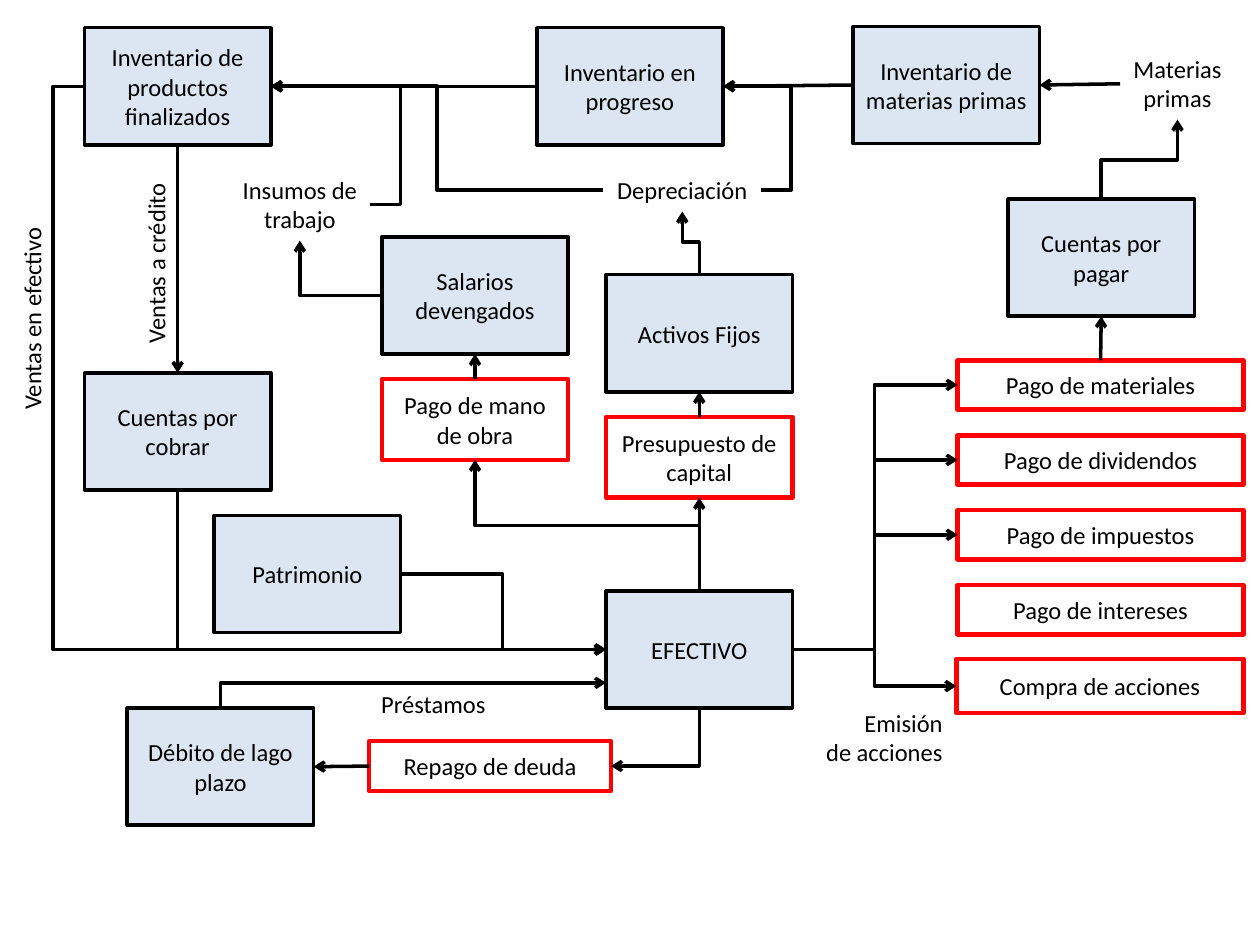
from lxml.etree import SubElement
from pptx import Presentation
from pptx.dml.color import RGBColor
from pptx.enum.shapes import MSO_CONNECTOR, MSO_SHAPE
from pptx.enum.text import MSO_ANCHOR, MSO_AUTO_SIZE, PP_ALIGN
from pptx.oxml.ns import qn
from pptx.util import Inches, Pt

WIDE, HIGH = 10, 7.5
INK, BLUE, RED = "000000", "DCE6F2", "FF0000"
COL = {"sales": 0.67, "wage": 3.03, "cash": 4.81, "pay": 7.6}
STEP, TOP = 0.595, 2.86
STOCK, SPEND, PAY = (1.48, 0.93), (1.48, 0.64), (2.27, 0.39)

STOCKS = {
    "done": ("Inventario de productos finalizados", COL["sales"], 0.22),
    "owed": ("Cuentas por cobrar", COL["sales"], 2.96),
    "work": ("Inventario en progreso", 4.26, 0.22),
    "raw": ("Inventario de materias primas", 6.77, 0.21),
    "due": ("Cuentas por pagar", 8, 1.58),
    "wage": ("Salarios devengados", COL["wage"], 1.88),
    "fixed": ("Activos Fijos", COL["cash"], 2.18),
    "own": ("Patrimonio", 1.7, 4.09),
    "cash": ("EFECTIVO", COL["cash"], 4.69),
    "debt": ("Débito de lago plazo", 1.01, 5.62),
}
SPENDS = {
    "labor": ("Pago de mano de obra", COL["wage"], 3.01, SPEND),
    "plan": ("Presupuesto de capital", COL["cash"], 3.31, SPEND),
    "buy": ("Compra de acciones", 7.59, 5.23, (2.28, 0.43)),
    "repay": ("Repago de deuda", 2.93, 5.88, (1.92, 0.4)),
}
PAYS = {
    "goods": "Pago de materiales",
    "share": "Pago de dividendos",
    "tax": "Pago de impuestos",
    "rate": "Pago de intereses",
}
LABELS = {
    "loan": ("Préstamos", 2.92, 5.42, 1.04, 0.34, {}),
    "issue": ("Emisión\nde acciones", 6.4, 5.57, 1.18, 0.57,
              {"align": PP_ALIGN.RIGHT, "wrap": True}),
    "parts": ("Materias\nprimas", 8.89, 0.38, 0.91, 0.57, {}),
    "wear": ("Depreciación", 4.79, 1.34, 1.25, 0.34, {}),
    "input": ("Insumos de\ntrabajo", 1.82, 1.34, 1.12, 0.57, {}),
    "paid": ("Ventas en efectivo", -0.73, 2.36, 1.97, 0.34,
             {"wrap": True, "turn": 270}),
    "trust": ("Ventas a crédito", 0.29, 1.92, 1.9, 0.34,
              {"wrap": True, "turn": 270}),
}
STRAIGHT = [
    ("raw.l", "work.r"), ("work.l", "done.r"), ("parts.l", "raw.r"),
    ("repay.l", "debt.r"), ("plan.t", "fixed.b"), ("labor.t", "wage.b"),
    ("cash.t", "plan.b"), ("done.b", "owed.t"), ("goods.t", "due.b"),
]
ELBOW = [
    ("debt.t", (COL["cash"], 5.42)), ("cash.b", "repay.r"),
    ("wage.l", "input.b"), ("owed.b", "cash.l"),
]
DOUBLE = [
    ("cash.r", "goods.l", 6.94), ("cash.r", "share.l", 6.94),
    ("cash.r", "tax.l", 6.94), ("cash.r", "buy.l", 6.94),
    ("own.r", "cash.l", 3.99), ("done.l", "cash.l", 0.42),
    ("wear.r", "work.r", 6.28), ("wear.l", "done.r", 3.47),
    ("input.r", "done.r", 3.18), ("cash.t", "labor.b", 4.17),
    ("due.t", "parts.b", 1.27), ("fixed.t", "wear.b", 1.92),
]
SIDES = {"l": (0, 0.5), "r": (1, 0.5), "t": (0.5, 0), "b": (0.5, 1)}


def paint(code):
    return RGBColor.from_string(code)


def write(shape, text, align=PP_ALIGN.CENTER, size=14, color=INK, wrap=True):
    frame = shape.text_frame
    frame.word_wrap = wrap
    frame.text = text
    for para in frame.paragraphs:
        para.alignment = align
        for run in para.runs:
            run.font.name = "Calibri"
            run.font.size = Pt(size)
            run.font.color.rgb = paint(color)
    return frame


def box(text, left, top, size, fill=None, edge=INK, width=2):
    shape = slide.shapes.add_shape(
        MSO_SHAPE.RECTANGLE, *map(Inches, (left, top, *size)))
    shape.shadow.inherit = False
    if fill:
        shape.fill.solid()
        shape.fill.fore_color.rgb = paint(fill)
    else:
        shape.fill.background()
    shape.line.color.rgb = paint(edge)
    shape.line.width = Pt(width)
    write(shape, text).vertical_anchor = MSO_ANCHOR.MIDDLE
    return left, top, *size


def label(text, left, top, width, height, align=PP_ALIGN.CENTER,
          wrap=False, turn=0):
    shape = slide.shapes.add_textbox(*map(Inches, (left, top, width, height)))
    shape.rotation = turn
    frame = write(shape, text, align=align, wrap=wrap)
    frame.auto_size = MSO_AUTO_SIZE.SHAPE_TO_FIT_TEXT
    return left, top, width, height


def spot(end):
    if isinstance(end, tuple):
        return end
    name, side = end.split(".")
    left, top, width, height = spots[name]
    across, down = SIDES[side]
    return left + across * width, top + down * height


def link(start, end, form="line", bend=None):
    x, y = spot(start)
    p, q = spot(end)
    wide, high = p - x, q - y
    upright = form != "line" and start[-1] in "tb"
    ends = x, y, p, q
    if upright:
        mid, level = (x + p) / 2, (y + q) / 2
        half = abs(high) / 2 * (1 if wide > 0 else -1)
        rise = abs(wide) / 2 * (1 if high < 0 else -1)
        ends = mid + half, level + rise, mid - half, level - rise
    kind = MSO_CONNECTOR.STRAIGHT if form == "line" else MSO_CONNECTOR.ELBOW
    line = slide.shapes.add_connector(kind, *map(Inches, ends))
    line.line.color.rgb = paint(INK)
    line.line.width = Pt(2)
    props = line._element.spPr
    if upright:
        turn = 270 if wide * high > 0 else 90
        props.find(qn("a:xfrm")).set("rot", str(turn * 60000))
    shape = props.find(qn("a:prstGeom"))
    shape.set("prst", form)
    if bend is not None:
        share = (bend - y) / high if upright else (bend - x) / wide
        SubElement(shape.find(qn("a:avLst")), qn("a:gd"), name="adj1",
                   fmla=f"val {round(share * 100000)}")
    SubElement(props.find(qn("a:ln")), qn("a:tailEnd"), type="arrow")
    SubElement(props, qn("a:effectLst"))


deck = Presentation()
deck.slide_width, deck.slide_height = Inches(WIDE), Inches(HIGH)
slide = deck.slides.add_slide(deck.slide_layouts[6])
spots = {}
for name, item in LABELS.items():
    spots[name] = label(*item[:-1], **item[-1])
for name, item in STOCKS.items():
    spots[name] = box(*item, STOCK, fill=BLUE)
for row, (name, text) in enumerate(PAYS.items()):
    spots[name] = box(text, COL["pay"], TOP + row * STEP, PAY,
                      edge=RED, width=2.5)
for name, item in SPENDS.items():
    spots[name] = box(*item, edge=RED, width=2.5)
for pair in STRAIGHT:
    link(*pair)
for pair in ELBOW:
    link(*pair, form="bentConnector2")
for start, end, bend in DOUBLE:
    link(start, end, form="bentConnector3", bend=bend)
deck.save("out.pptx")
